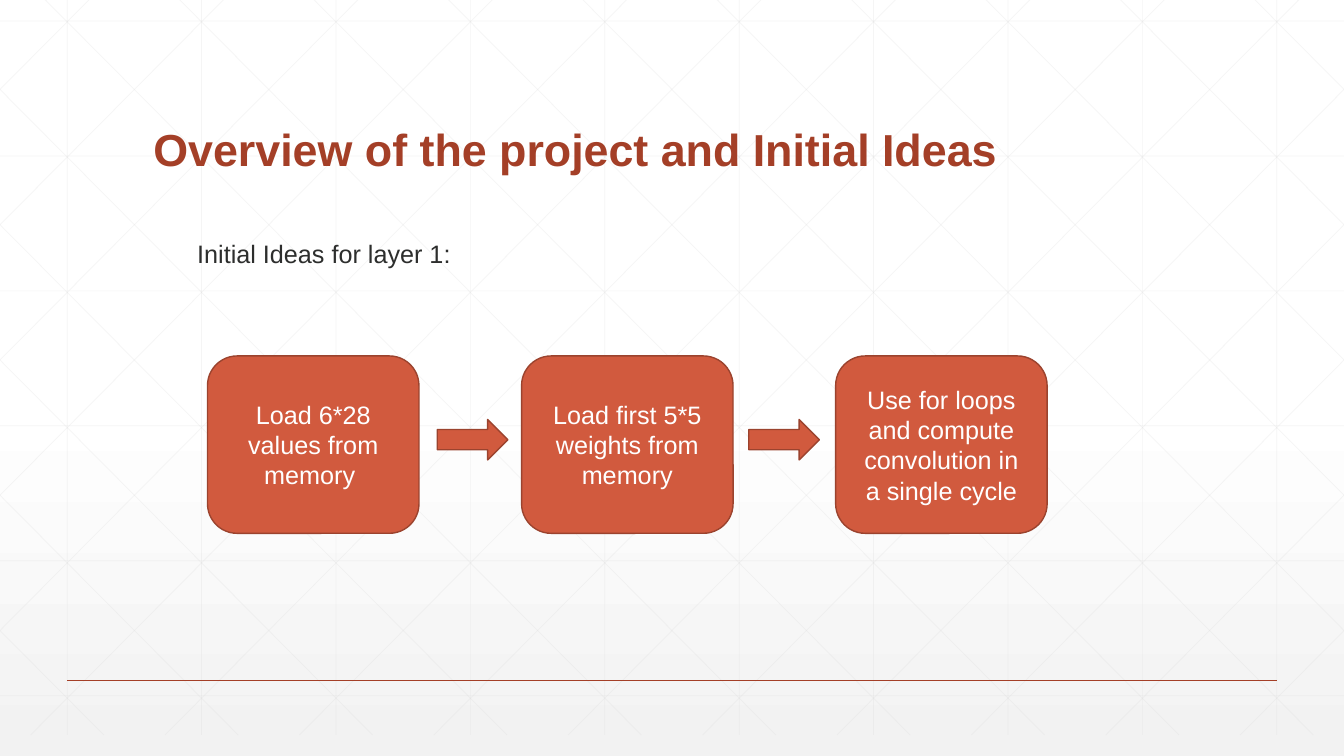
from copy import deepcopy

from lxml.etree import SubElement
from pptx import Presentation
from pptx.dml.color import RGBColor
from pptx.enum.shapes import MSO_CONNECTOR, MSO_SHAPE
from pptx.enum.text import MSO_ANCHOR, MSO_AUTO_SIZE, PP_ALIGN
from pptx.oxml.ns import qn
from pptx.util import Cm, Pt

WIDTH, HEIGHT = 33.87, 19.05
FONT = "Arial"
COLORS = {
    "white": "FFFFFF",
    "mist": "F2F2F2",
    "grid": "D9D9D9",
    "title": "A43F27",
    "body": "2D2E2D",
    "step": "D15A3E",
    "outline": "9B432E",
}
STEPS = [
    "Load 6*28 values from memory ",
    "Load first 5*5 weights from memory",
    "Use for loops and compute convolution in a single cycle",
]


def rgb(name):
    return RGBColor.from_string(COLORS[name])


def format_text(frame, size, color, bold=False, align=PP_ALIGN.LEFT):
    for paragraph in frame.paragraphs:
        paragraph.alignment = align
        for run in paragraph.runs:
            run.font.name = FONT
            run.font.size = Pt(size)
            run.font.bold = bold
            run.font.color.rgb = rgb(color)


def add_line(shapes, start, end, color, width, opacity=None):
    """Draw a shadowless line between two (x, y) points in cm; opacity in percent."""
    line = shapes.add_connector(
        MSO_CONNECTOR.STRAIGHT, *(Cm(value) for value in (*start, *end))
    )
    line.line.color.rgb = rgb(color)
    line.line.width = Pt(width)
    properties = line._element.spPr
    if opacity is not None:
        tint = properties.find(".//" + qn("a:srgbClr"))
        SubElement(tint, qn("a:alpha"), val=str(opacity * 1000))
    SubElement(properties, qn("a:effectLst"))


def paint_background(slide):
    fill = slide.background.fill
    fill.gradient()
    fill.gradient_angle = 270
    first = fill.gradient_stops[0]
    first._gs.addnext(deepcopy(first._gs))
    stops = [(0, "white"), (0.53, "white"), (1, "mist")]
    for stop, (position, color) in zip(fill.gradient_stops, stops):
        stop.position = position
        stop.color.rgb = rgb(color)


def add_lattice(slide, top, height):
    """Lay vertical, horizontal and mirrored diagonal hairlines across the slide."""
    pitch, row_pitch, run = WIDTH / 10, 3.4, 18.93
    bottom, slope = top + height, height / run
    segments = []
    for column in range(10):
        x = pitch * (column + 0.5)
        segments.append(((x, top), (x, bottom)))
    for row in range(6):
        y = 0.53 + row_pitch * row
        segments.append(((0, y), (WIDTH, y)))
    for index in range(-5, 10):
        origin = 0.62 + pitch * index
        left, right = max(origin, 0), min(origin + run, WIDTH)
        upper = top + (left - origin) * slope
        lower = top + (right - origin) * slope
        segments.append(((left, upper), (right, lower)))
        segments.append(((WIDTH - left, upper), (WIDTH - right, lower)))
    lattice = slide.shapes.add_group_shape()
    for start, end in segments:
        add_line(lattice.shapes, start, end, "grid", 0.5, opacity=25)


def place_title(slide, left, top, width, height):
    title = slide.shapes.title
    title.left, title.top, title.width, title.height = map(
        Cm, (left, top, width, height)
    )
    frame = title.text_frame
    frame.text = "Overview of the project and Initial Ideas"
    frame.auto_size = MSO_AUTO_SIZE.NONE
    frame.vertical_anchor = MSO_ANCHOR.BOTTOM
    frame.paragraphs[0].line_spacing = 0.9
    format_text(frame, 32, "title", bold=True)
    # Bring the title in front of the lattice
    slide.shapes._spTree.append(title._element)


def add_intro(slide, left, top, width, height):
    intro = slide.shapes.add_textbox(*map(Cm, (left, top, width, height)))
    frame = intro.text_frame
    frame.word_wrap = True
    frame.auto_size = MSO_AUTO_SIZE.SHAPE_TO_FIT_TEXT
    frame.text = "Initial Ideas for layer 1:"
    format_text(frame, 18, "body")


def add_block(slide, kind, left, top, width, height):
    block = slide.shapes.add_shape(kind, *map(Cm, (left, top, width, height)))
    block.shadow.inherit = False
    block.fill.solid()
    block.fill.fore_color.rgb = rgb("step")
    block.line.color.rgb = rgb("outline")
    block.line.width = Pt(1)
    return block


def add_flow(slide, left, top, width, height):
    """Spread the steps over the box, with an arrow after each but the last."""
    step_width = 5.33
    step_pitch = (width - step_width) / (len(STEPS) - 1)
    for index, text in enumerate(STEPS):
        step = add_block(slide, MSO_SHAPE.ROUNDED_RECTANGLE,
                         left + index * step_pitch, top, step_width, height)
        frame = step.text_frame
        frame.word_wrap = True
        frame.vertical_anchor = MSO_ANCHOR.MIDDLE
        frame.text = text
        format_text(frame, 18, "white", align=PP_ALIGN.CENTER)
    for index in range(len(STEPS) - 1):
        add_block(slide, MSO_SHAPE.RIGHT_ARROW,
                  left + 5.79 + index * 7.85, top + 1.6, 1.78, 1.02)


def main():
    deck = Presentation()
    deck.slide_width, deck.slide_height = Cm(WIDTH), Cm(HEIGHT)
    slide = deck.slides.add_slide(deck.slide_layouts.get_by_name("Title Only"))
    paint_background(slide)
    add_lattice(slide, top=-0.53, height=HEIGHT)
    add_line(slide.shapes, (1.69, 17.15), (WIDTH - 1.69, 17.15), "title", 1)
    place_title(slide, 3.61, 1.4, 26.67, 3.18)
    add_intro(slide, 4.72, 5.89, 24.43, 1.02)
    add_flow(slide, 5.23, 8.97, 21.16, 4.47)
    deck.save("out.pptx")


if __name__ == "__main__":
    main()
